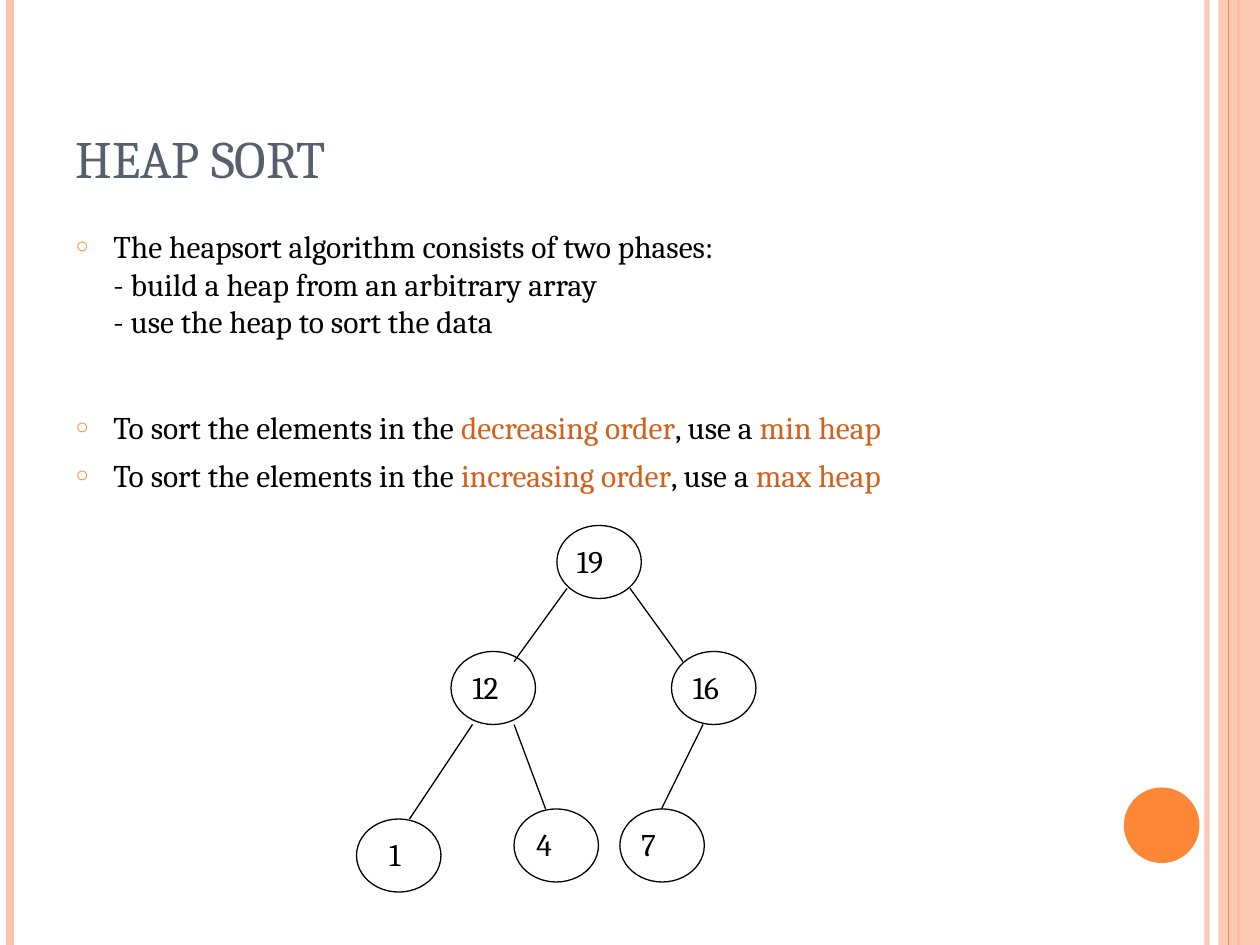
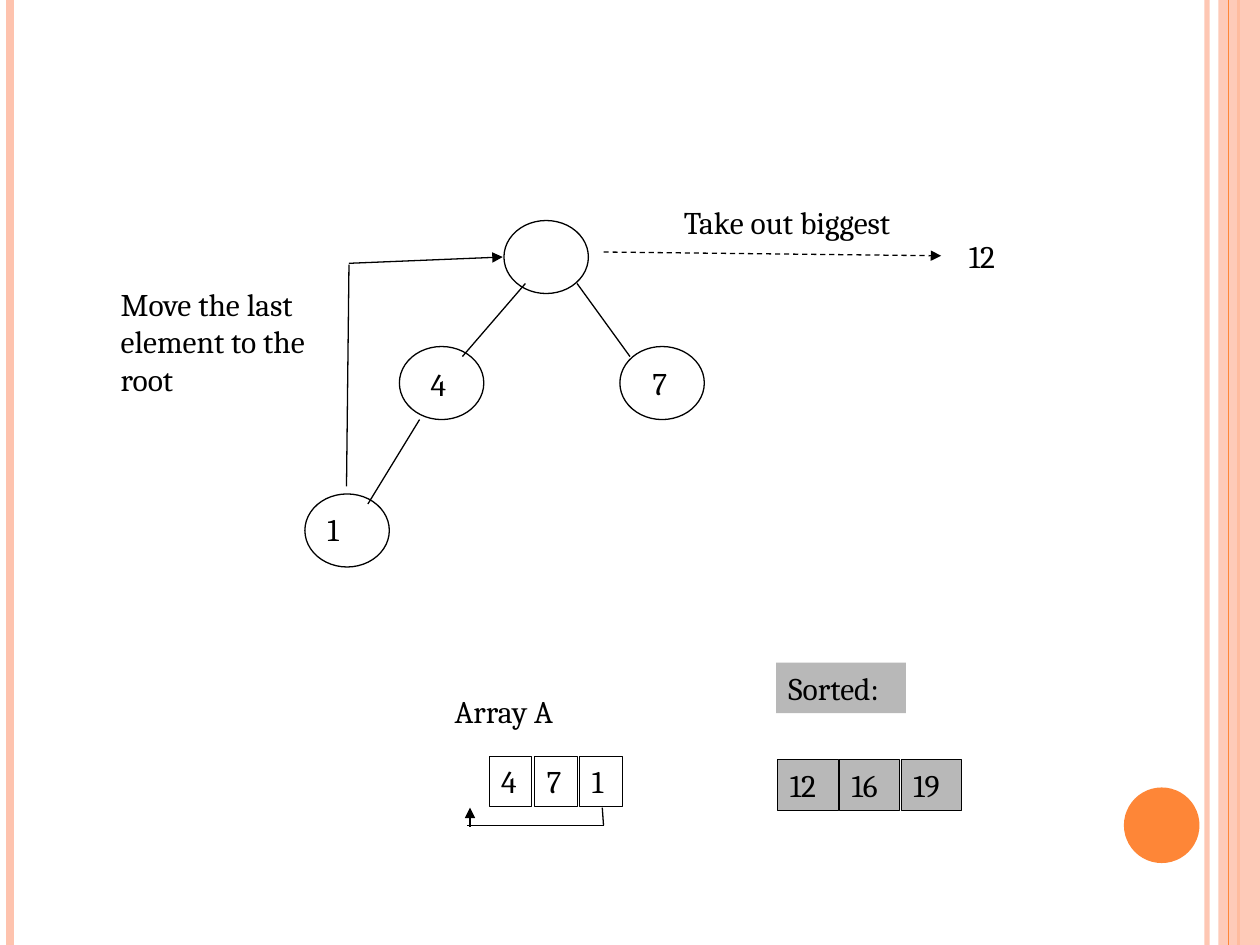
from copy import deepcopy

from lxml import etree
from pptx import Presentation
from pptx.dml.color import RGBColor
from pptx.enum.dml import MSO_LINE
from pptx.enum.shapes import MSO_CONNECTOR, MSO_SHAPE
from pptx.enum.text import MSO_ANCHOR, MSO_AUTO_SIZE, PP_ALIGN
from pptx.oxml.ns import qn
from pptx.util import Inches, Pt

RECT, OVAL = MSO_SHAPE.RECTANGLE, MSO_SHAPE.OVAL
STRAIGHT, DASH = MSO_CONNECTOR.STRAIGHT, MSO_LINE.DASH
TOP, BOTTOM = MSO_ANCHOR.TOP, MSO_ANCHOR.BOTTOM
LEFT, NO_FIT = PP_ALIGN.LEFT, MSO_AUTO_SIZE.NONE

COLORS = {
    "ink": "000000",
    "title": "575F6D",
    "accent": "FE8637",
    "band": "FEC3AE",
    "emphasis": "D2611C",
    "sorted": "B8B8B8",
}
FONT = "Cambria"
WIDTH, HEIGHT = 10, 7.5
NODE_W, NODE_H = 0.67, 0.58
LINE_H = 0.4


def rgb(name):
    return RGBColor.from_string(COLORS[name])


def add_xml(parent, tag, **attributes):
    return etree.SubElement(parent, qn(tag), attributes)


def set_alpha(element, percent):
    for color in list(element.iter(qn("a:srgbClr"))):
        add_xml(color, "a:alpha", val=str(percent * 1000))


def add_bullet(paragraph):
    """Hang an accent-coloured ring in front of the paragraph."""
    props = paragraph._p.get_or_add_pPr()
    props.set("marL", str(Inches(0.3)))
    props.set("indent", str(-Inches(0.3)))
    bullet_color = add_xml(props, "a:buClr")
    add_xml(bullet_color, "a:srgbClr", val=COLORS["accent"])
    add_xml(props, "a:buSzPct", val="70000")
    add_xml(props, "a:buChar", char="○")


def write(frame, paragraphs, size=18, color="ink", anchor=TOP,
          gaps=None, bullets=False):
    """Each paragraph is a list of (text, colour) runs or a plain string."""
    frame.word_wrap = True
    frame.auto_size = NO_FIT
    frame.vertical_anchor = anchor
    for i, runs in enumerate(paragraphs):
        paragraph = frame.paragraphs[0] if i == 0 else frame.add_paragraph()
        paragraph.alignment = LEFT
        paragraph.space_before = Pt(gaps[i] if gaps else 0)
        if bullets:
            add_bullet(paragraph)
        for text, run_color in [(runs, color)] if isinstance(runs, str) else runs:
            for j, line in enumerate(text.split("\n")):
                if j:
                    paragraph.add_line_break()
                run = paragraph.add_run()
                run.text = line
                run.font.name = FONT
                run.font.size = Pt(size)
                run.font.color.rgb = rgb(run_color)
        # Line breaks take the format of the text around them
        for line_break in paragraph._p.findall(qn("a:br")):
            line_break.append(deepcopy(run._r.rPr))


def add_label(slide, left, top, width, *lines):
    label = slide.shapes.add_textbox(
        Inches(left), Inches(top), Inches(width), Inches(LINE_H * len(lines)))
    write(label.text_frame, lines)


def add_box(slide, kind, left, top, width, height, fill=None, line=None,
            weight=0.75, text=None):
    box = slide.shapes.add_shape(
        kind, Inches(left), Inches(top), Inches(width), Inches(height))
    box.shadow.inherit = False
    if fill:
        box.fill.solid()
        box.fill.fore_color.rgb = rgb(fill)
    else:
        box.fill.background()
    if line:
        box.line.color.rgb = rgb(line)
        box.line.width = Pt(weight)
    else:
        box.line.fill.background()
    if text:
        write(box.text_frame, [text])
    return box


def add_line(slide, start, end, color="ink", weight=0.75, dash=None, arrow=False):
    points = [Inches(value) for value in (*start, *end)]
    line = slide.shapes.add_connector(STRAIGHT, *points)
    line.line.color.rgb = rgb(color)
    line.line.width = Pt(weight)
    if dash:
        line.line.dash_style = dash
    if arrow:
        add_xml(line.line._get_or_add_ln(), "a:tailEnd", type="triangle")
    add_xml(line._element.spPr, "a:effectLst")
    return line


def add_frame(slide):
    """Side bands and the round marker shared by all slides."""
    def stripe(x, color, weight):
        return add_line(slide, (x, 0), (x, HEIGHT), color, weight)

    set_alpha(stripe(9.58, "band", 3)._element, 93)
    stripe(0.08, "band", 4.5)
    stripe(9.83, "accent", 1.5)
    band = add_box(slide, RECT, 9.67, 0, 0.33, HEIGHT, fill="band")
    set_alpha(band._element.spPr, 87)
    stripe(9.75, "accent", 0.75)
    add_box(slide, OVAL, 8.92, 6.25, 0.6, 0.6, fill="accent")


def add_tree(slide, left, top, nodes, edges):
    """Nodes are (value, x, y, label dx, label dy); edges are point pairs."""
    for value, x, y, dx, dy in nodes:
        add_box(slide, OVAL, left + x, top + y, NODE_W, NODE_H, line="ink")
        if value:
            label_w = 0.2 + 0.14 * len(value)
            add_label(slide, left + x + dx, top + y + dy, label_w, value)
    for (x1, y1), (x2, y2) in edges:
        add_line(slide, (left + x1, top + y1), (left + x2, top + y2))


def add_array(slide, left, top, values, cell_w, step, fill=None):
    for i, value in enumerate(values):
        add_box(slide, RECT, left + i * step, top, cell_w, LINE_H,
                fill=fill, line="ink", weight=0.25, text=value)


def place(placeholder, left, top, width, height):
    placeholder.left, placeholder.top = Inches(left), Inches(top)
    placeholder.width, placeholder.height = Inches(width), Inches(height)
    return placeholder.text_frame


def build_overview(prs):
    slide = prs.slides.add_slide(prs.slide_layouts[1])
    add_frame(slide)
    title = place(slide.shapes.title, 0.5, 0.3, 8.17, 1.25)
    write(title, ["HEAP SORT"], size=30, color="title", anchor=BOTTOM)

    # Phases and choice of heap
    phases = ("The heapsort algorithm consists of two phases:\n"
              "- build a heap from an arbitrary array\n"
              "- use the heap to sort the data")
    choices = [
        [("To sort the elements in the ", "ink"), (f"{order} order", "emphasis"),
         (", use a ", "ink"), (f"{heap} heap", "emphasis")]
        for order, heap in (("decreasing", "min"), ("increasing", "max"))
    ]
    body = place(slide.placeholders[1], 0.5, 1.75, 9, 5.42)
    write(body, [phases, *choices], gaps=(11.2, 38.8, 6), bullets=True)

    # Max heap
    add_tree(
        slide, 2.83, 4.17,
        nodes=[("19", 1.59, 0, 0.06, 0.08), ("12", 0.75, 1, 0.07, 0.08),
               ("16", 2.5, 1, 0.07, 0.08), ("4", 1.25, 2.25, 0.08, 0.08),
               ("1", 0, 2.33, 0.16, 0.08), ("7", 2.09, 2.25, 0.07, 0.08)],
        edges=[((1.67, 0.5), (1.25, 1.08)), ((0.92, 1.58), (0.42, 2.33)),
               ((1.25, 1.58), (1.5, 2.25)), ((2.17, 0.5), (2.59, 1.08)),
               ((2.75, 1.58), (2.42, 2.25))])


def build_removal_step(prs):
    slide = prs.slides.add_slide(prs.slide_layouts[6])
    add_frame(slide)

    # Heap with its root taken out
    add_tree(
        slide, 2.42, 1.75,
        nodes=[(None, 1.58, 0, 0, 0), ("4", 0.75, 1, 0.15, 0.1),
               ("7", 2.5, 1, 0.16, 0.09), ("1", 0, 2.17, 0.08, 0.08)],
        edges=[((1.75, 0.5), (1.25, 1.08)), ((0.91, 1.58), (0.5, 2.25)),
               ((2.16, 0.5), (2.58, 1.08))])

    # Biggest element leaves
    add_line(slide, (4.79, 2), (7.47, 2.03), dash=DASH, arrow=True)
    add_label(slide, 5.33, 1.56, 2.11, "Take out biggest")
    add_label(slide, 7.59, 1.83, 0.48, "12")

    # Last element moves to the root
    add_line(slide, (2.75, 3.86), (2.77, 2.1))
    add_line(slide, (2.77, 2.09), (3.99, 2.04), arrow=True)
    add_label(slide, 0.86, 2.21, 1.93, "Move the last", "element to the", "root")

    # Array with the move from its end to its front
    add_label(slide, 3.51, 5.44, 1.12, "Array A")
    add_array(slide, 3.88, 6, ("4", "7", "1"), cell_w=0.34, step=0.36)
    add_line(slide, (4.78, 6.41), (4.79, 6.55))
    add_line(slide, (4.79, 6.55), (3.71, 6.55))
    add_line(slide, (3.73, 6.56), (3.73, 6.41), arrow=True)

    # Sorted part
    add_box(slide, RECT, 6.16, 5.26, 1.03, LINE_H, fill="sorted", text="Sorted:")
    add_array(slide, 6.17, 6.03, ("12", "16", "19"), cell_w=0.48, step=0.49,
              fill="sorted")


def main():
    prs = Presentation()
    prs.slide_width, prs.slide_height = Inches(WIDTH), Inches(HEIGHT)
    build_overview(prs)
    build_removal_step(prs)
    prs.save("out.pptx")


if __name__ == "__main__":
    main()
